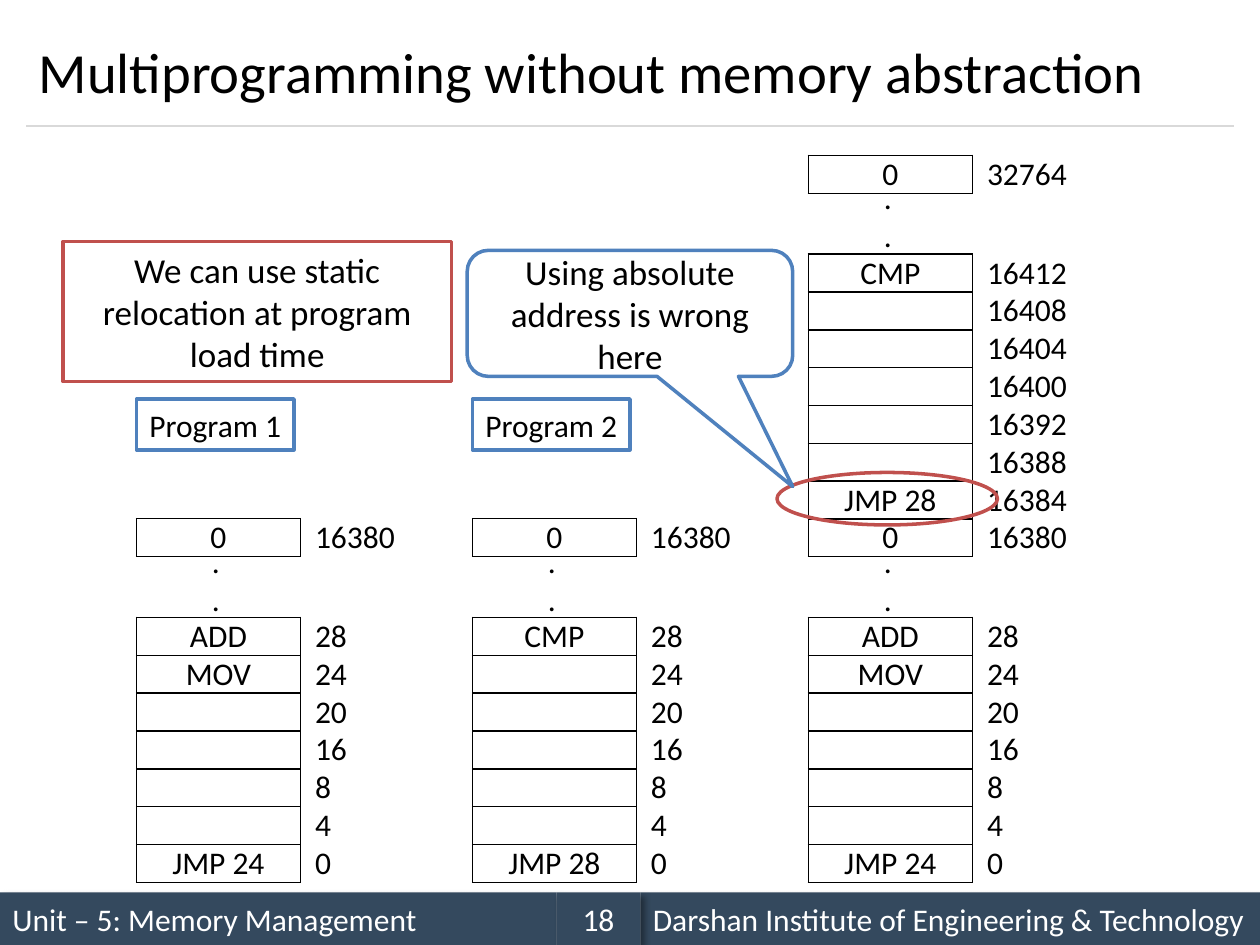
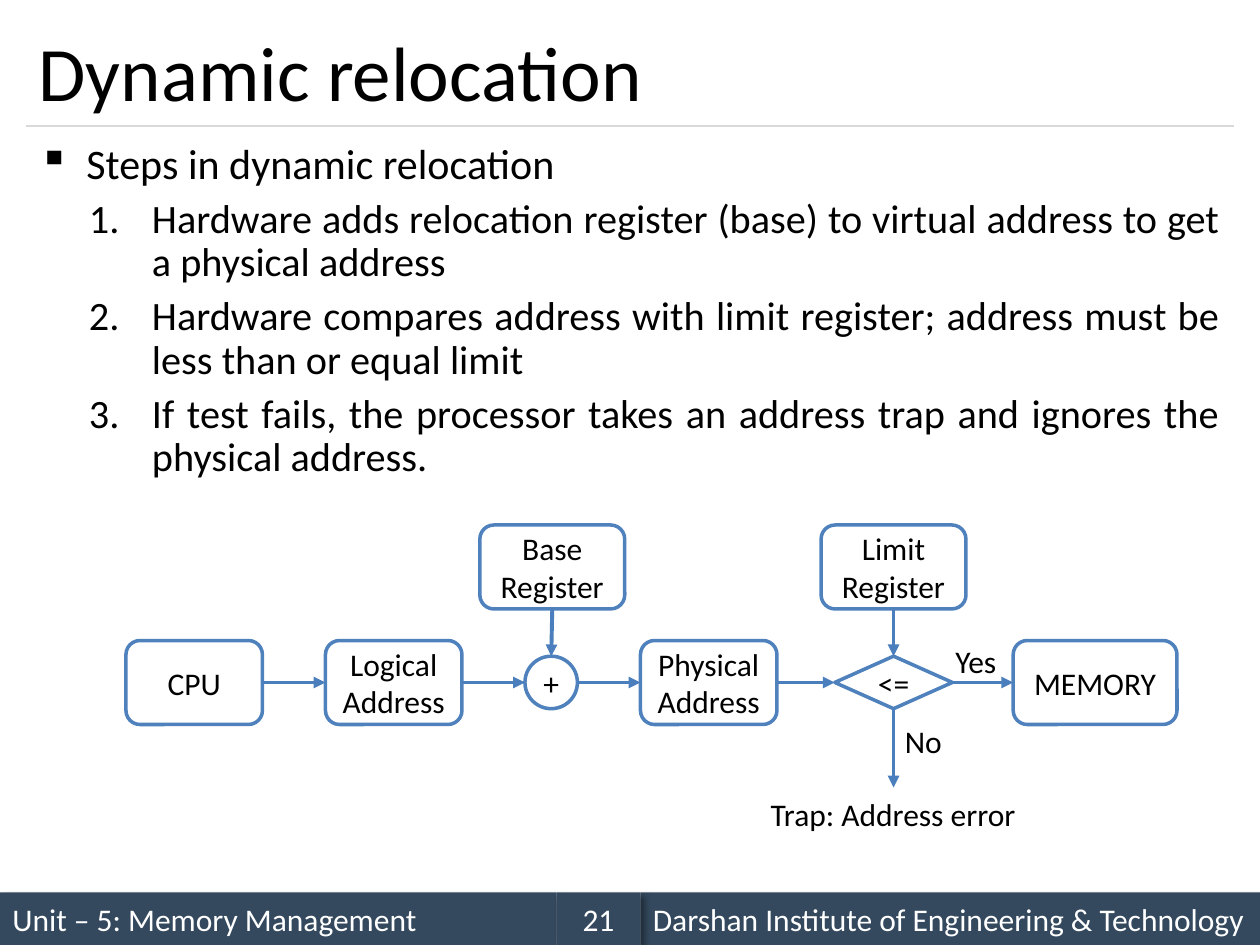
from dataclasses import dataclass
from typing import NamedTuple

from lxml import etree
from pptx import Presentation
from pptx.dml.color import RGBColor
from pptx.enum.shapes import MSO_CONNECTOR, MSO_SHAPE
from pptx.enum.text import MSO_ANCHOR, PP_ALIGN
from pptx.oxml.ns import qn
from pptx.util import Inches, Pt

LEFT, CENTER, JUSTIFY = PP_ALIGN.LEFT, PP_ALIGN.CENTER, PP_ALIGN.JUSTIFY
TOP, MIDDLE = MSO_ANCHOR.TOP, MSO_ANCHOR.MIDDLE
RECT, ROUNDED = MSO_SHAPE.RECTANGLE, MSO_SHAPE.ROUNDED_RECTANGLE
OVAL, DIAMOND = MSO_SHAPE.OVAL, MSO_SHAPE.DIAMOND
CALLOUT = MSO_SHAPE.ROUNDED_RECTANGULAR_CALLOUT
STRAIGHT = MSO_CONNECTOR.STRAIGHT

WIDTH, HEIGHT = Inches(10), Inches(7.5)
GRID_COLUMNS, GRID_ROWS = 120, 90


@dataclass(frozen=True)
class Theme:
    font: str = "Calibri"
    ink: str = "000000"
    paper: str = "FFFFFF"
    band: str = "34495E"
    rule: str = "D9D9D9"
    blue: str = "4F81BD"
    arrow: str = "4B7EBC"
    red: str = "C0504D"
    title: float = 44
    long_title: float = 32.4
    heading: float = 24
    step: float = 23
    note: float = 20
    label: float = 18
    outline: float = 2
    arrow_width: float = 2.25
    hairline: float = 0.75
    cell_border: float = 1


class Area(NamedTuple):
    left: float
    top: float
    width: float
    height: float

    @property
    def north(self):
        return self.left + self.width / 2, self.top

    @property
    def south(self):
        return self.left + self.width / 2, self.top + self.height

    @property
    def west(self):
        return self.left, self.top + self.height / 2

    @property
    def east(self):
        return self.left + self.width, self.top + self.height / 2


def x(columns):
    return round(WIDTH * columns / GRID_COLUMNS)


def y(rows):
    return round(HEIGHT * rows / GRID_ROWS)


def emu(area):
    return x(area.left), y(area.top), x(area.width), y(area.height)


def add_xml(parent, tag, **attributes):
    values = {name: str(value) for name, value in attributes.items()}
    return etree.SubElement(parent, qn(tab_safe(tag)), values)


def tab_safe(tag):
    return tag.strip()


class Deck:
    def __init__(self, theme):
        self.theme = theme
        self.presentation = Presentation()
        self.presentation.slide_width = WIDTH
        self.presentation.slide_height = HEIGHT
        self.slide = None

    def start(self, title, size, number):
        layout = self.presentation.slide_layouts[6]
        self.slide = self.presentation.slides.add_slide(layout)
        self.band(Area(0, 85, 53, 5), "Unit – 5: Memory Management")
        self.line((2.5, 12), (117.5, 12), self.theme.rule, self.theme.hairline)
        self.band(Area(61, 85, 59, 5), "Darshan Institute of Engineering & Technology")
        self.band(Area(53, 85, 8, 5), str(number), CENTER)
        self.text(Area(2.5, 1.5, 115, 10.5), [title], size, anchor=MIDDLE)

    def add_text(self, paragraph, text, size, color=None, align=LEFT):
        paragraph.alignment = align
        run = paragraph.add_run()
        run.text = text
        run.font.name = self.theme.font
        run.font.size = Pt(size)
        run.font.color.rgb = RGBColor.from_string(color or self.theme.ink)

    def fill_frame(self, frame, lines, size, color=None, align=LEFT, anchor=TOP, wrap=True):
        frame.word_wrap = wrap
        frame.vertical_anchor = anchor
        for index, line in enumerate(lines):
            paragraph = frame.add_paragraph() if index else frame.paragraphs[0]
            self.add_text(paragraph, line, size, color, align)

    def text(self, area, lines, size=None, align=LEFT, anchor=TOP):
        frame = self.slide.shapes.add_textbox(*emu(area)).text_frame
        self.fill_frame(frame, lines, size or self.theme.label, align=align, anchor=anchor)

    def shape(self, kind, area, fill=None, line=None):
        shape = self.slide.shapes.add_shape(kind, *emu(area))
        shape.shadow.inherit = False
        if fill:
            shape.fill.solid()
            shape.fill.fore_color.rgb = RGBColor.from_string(fill)
        else:
            shape.fill.background()
        if line:
            shape.line.color.rgb = RGBColor.from_string(line)
            shape.line.width = Pt(self.theme.outline)
        else:
            shape.line.fill.background()
        return shape

    def box(self, kind, area, lines, line=None, size=None, wrap=False):
        shape = self.shape(kind, area, self.theme.paper, line or self.theme.blue)
        self.fill_frame(shape.text_frame, lines, size or self.theme.label,
                        align=CENTER, anchor=MIDDLE, wrap=wrap)
        return shape

    def band(self, area, text, align=LEFT):
        shape = self.shape(RECT, area, self.theme.band)
        effects = shape._element.spPr.find(qn("a:effectLst"))
        shadow = add_xml(effects, "a:outerShdw", blurRad=Pt(4), dist=Pt(3),
                         dir=45 * 60000, algn="tl", rotWithShape=0)
        color = add_xml(shadow, "a:srgbClr", val=self.theme.ink)
        add_xml(color, "a:alpha", val=40000)
        self.fill_frame(shape.text_frame, [text], self.theme.label,
                        self.theme.paper, align, MIDDLE)

    def line(self, start, end, color, width):
        line = self.slide.shapes.add_connector(
            STRAIGHT, x(start[0]), y(start[1]), x(end[0]), y(end[1]))
        line.line.color.rgb = RGBColor.from_string(color)
        line.line.width = Pt(width)
        add_xml(line._element.spPr, "a:effectLst")
        return line

    def arrow(self, start, end):
        line = self.line(start, end, self.theme.arrow, self.theme.arrow_width)
        outline = line._element.spPr.find(qn("a:ln"))
        add_xml(outline, "a:tailEnd", type="triangle")

    def border(self, cell, visible):
        properties = cell._tc.get_or_add_tcPr()
        for index, side in enumerate(("a:lnL", "a:lnR", "a:lnT", "a:lnB")):
            edge = add_xml(properties, side, w=Pt(self.theme.cell_border))
            if visible:
                add_xml(add_xml(edge, "a:solidFill"), "a:srgbClr", val=self.theme.ink)
            else:
                add_xml(edge, "a:noFill")
            properties.insert(index, edge)

    def column(self, left, top, width, values, bordered):
        row_height = 3.6
        area = Area(left, top, width, row_height * len(values))
        table = self.slide.shapes.add_table(len(values), 1, *emu(area)).table
        table.first_row = table.horz_banding = False
        for row, value in enumerate(values):
            table.rows[row].height = y(row_height)
            cell = table.cell(row, 0)
            cell.margin_left = cell.margin_right = 0
            cell.margin_top = cell.margin_bottom = 0
            cell.fill.background()
            self.border(cell, bordered)
            if value:
                self.add_text(cell.text_frame.paragraphs[0], value, self.theme.label,
                              align=CENTER if bordered else LEFT)

    def memory(self, left, top, instructions, addresses, last_address):
        self.column(left, top + 9.4, 15.6, instructions, True)
        self.column(left, top, 15.6, ["0"], True)
        self.text(Area(left + 6, top + 1.6, 3, 8.5), [".", "."])
        self.column(left + 17, top + 9.4, 9, addresses, False)
        self.column(left + 17, top, 9, [last_address], False)

    def steps(self, area, heading, steps):
        frame = self.slide.shapes.add_textbox(*emu(area)).text_frame
        frame.word_wrap = True
        for index, item in enumerate([heading, *steps]):
            paragraph = frame.add_paragraph() if index else frame.paragraphs[0]
            margin, hanging = (0.9, 0.5) if index else (0.38, 0.38)
            properties = paragraph._p.get_or_add_pPr()
            properties.set("marL", str(Inches(margin)))
            properties.set("indent", str(-Inches(hanging)))
            add_xml(add_xml(properties, "a:buClr"), "a:srgbClr", val=self.theme.ink)
            if index:
                properties.set("lvl", "1")
                add_xml(properties, "a:buAutoNum", type="arabicPeriod")
                paragraph.space_before = Pt(6)
            else:
                add_xml(properties, "a:buChar", char="▪")
            paragraph.line_spacing = 0.9
            size = self.theme.step if index else self.theme.heading
            self.add_text(paragraph, item, size, align=JUSTIFY)


def multiprogramming(deck):
    theme = deck.theme
    deck.start("Multiprogramming without memory abstraction", theme.long_title, 18)
    gap = [""] * 4
    first_program = ["ADD", "MOV", *gap, "JMP 24"]
    second_program = ["CMP", "", *gap, "JMP 28"]
    low_addresses = ["28", "24", "20", "16", "8", "4", "0"]
    high_addresses = ["16412", "16408", "16404", "16400", "16392", "16388", "16384"]
    lefts = [13 + 32 * index for index in range(3)]
    low_top, high_top = 49.4, 14.8
    for left, program in zip(lefts, (first_program, second_program, first_program)):
        deck.memory(left, low_top, program, low_addresses, "16380")
    deck.memory(lefts[2], high_top, second_program, high_addresses, "32764")

    for left, name in zip(lefts, ("Program 1", "Program 2")):
        deck.box(RECT, Area(left, 38, 15, 4.85), [name])
    deck.shape(OVAL, Area(74, 45, 21, 5), line=theme.red)
    warning = deck.box(CALLOUT, Area(44.5, 23.85, 31, 12),
                       ["Using absolute address is wrong here"], size=theme.note, wrap=True)
    for index, value in enumerate((0.5, 1.375, 0.167)):
        warning.adjustments[index] = value
    deck.box(RECT, Area(6, 23, 37, 13.35),
             ["We can use static relocation at program load time"],
             theme.red, theme.note, True)


def dynamic_relocation(deck):
    deck.start("Dynamic relocation", deck.theme.title, 21)
    deck.steps(Area(2.5, 13, 115, 34), "Steps in dynamic relocation", [
        "Hardware adds relocation register (base) to virtual address to get a physical address",
        "Hardware compares address with limit register; address must be less than or equal limit",
        "If test fails, the processor takes an address trap and ignores the physical address.",
    ])
    cpu = Area(12, 61, 13, 8)
    logical = Area(31, 61, 13, 8)
    adder = Area(50, 62.5, 5, 5)
    base = Area(45.7, 50, 13.8, 8)
    physical = Area(61, 61, 13, 8)
    check = Area(79.5, 62.5, 11.2, 5)
    limit = Area(78.2, 50, 13.8, 8)
    memory = Area(96.5, 61, 15.6, 8)
    for kind, area, lines in (
        (ROUNDED, cpu, ["CPU"]),
        (ROUNDED, logical, ["Logical", "Address"]),
        (OVAL, adder, ["+"]),
        (ROUNDED, base, ["Base", "Register"]),
        (ROUNDED, physical, ["Physical", "Address"]),
        (DIAMOND, check, ["<="]),
        (ROUNDED, limit, ["Limit", "Register"]),
        (ROUNDED, memory, ["MEMORY"]),
    ):
        deck.box(kind, area, lines)

    flow = [cpu, logical, adder, physical, check, memory]
    for source, target in zip(flow, flow[1:]):
        deck.arrow(source.east, target.west)
    for register, target in ((base, adder), (limit, check)):
        deck.arrow(register.south, target.north)
    trap_column, check_bottom = check.south
    deck.arrow(check.south, (trap_column, check_bottom + 7.5))

    deck.text(Area(89.8, 60.6, 7, 4.8), ["Yes"])
    deck.text(Area(85, 68.2, 7, 4.8), ["No"])
    deck.text(Area(71.9, 75.1, 26.3, 4.8), ["Trap: Address error"], align=CENTER)


def main():
    deck = Deck(Theme())
    multiprogramming(deck)
    dynamic_relocation(deck)
    deck.presentation.save("out.pptx")


if __name__ == "__main__":
    main()
